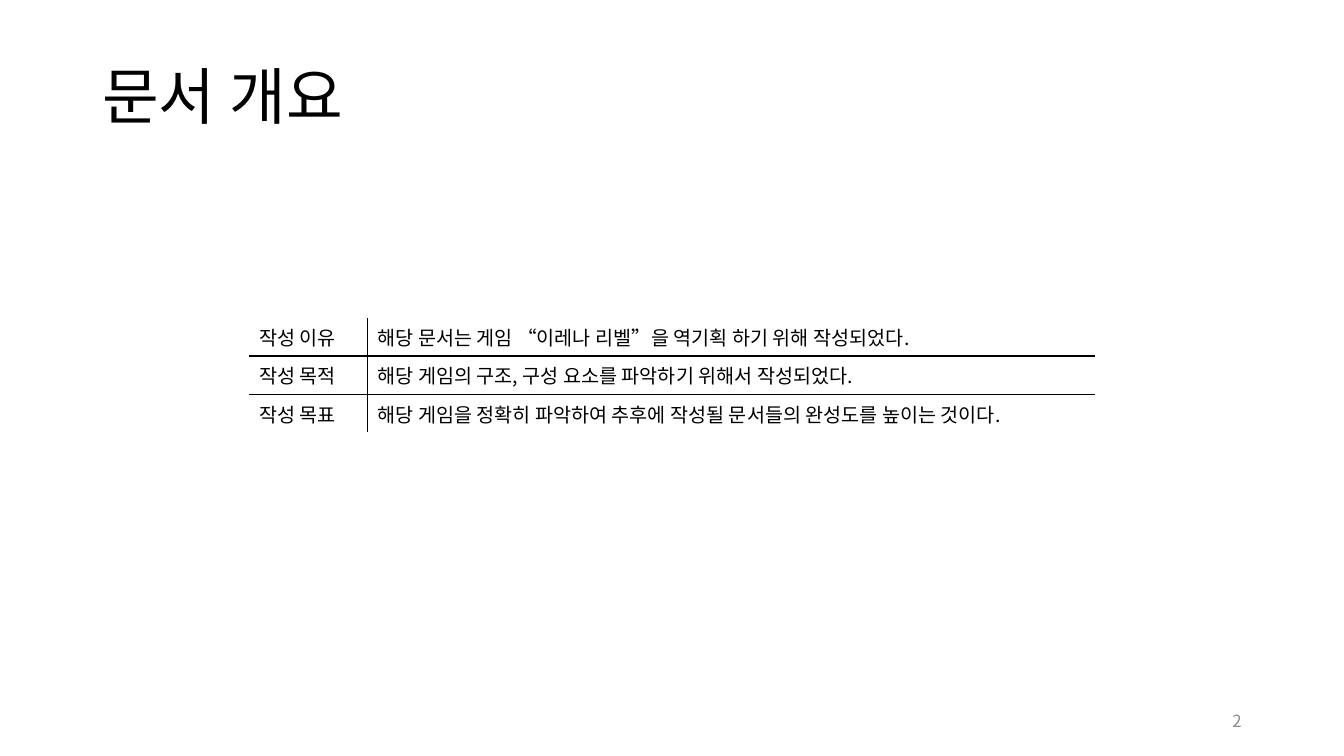
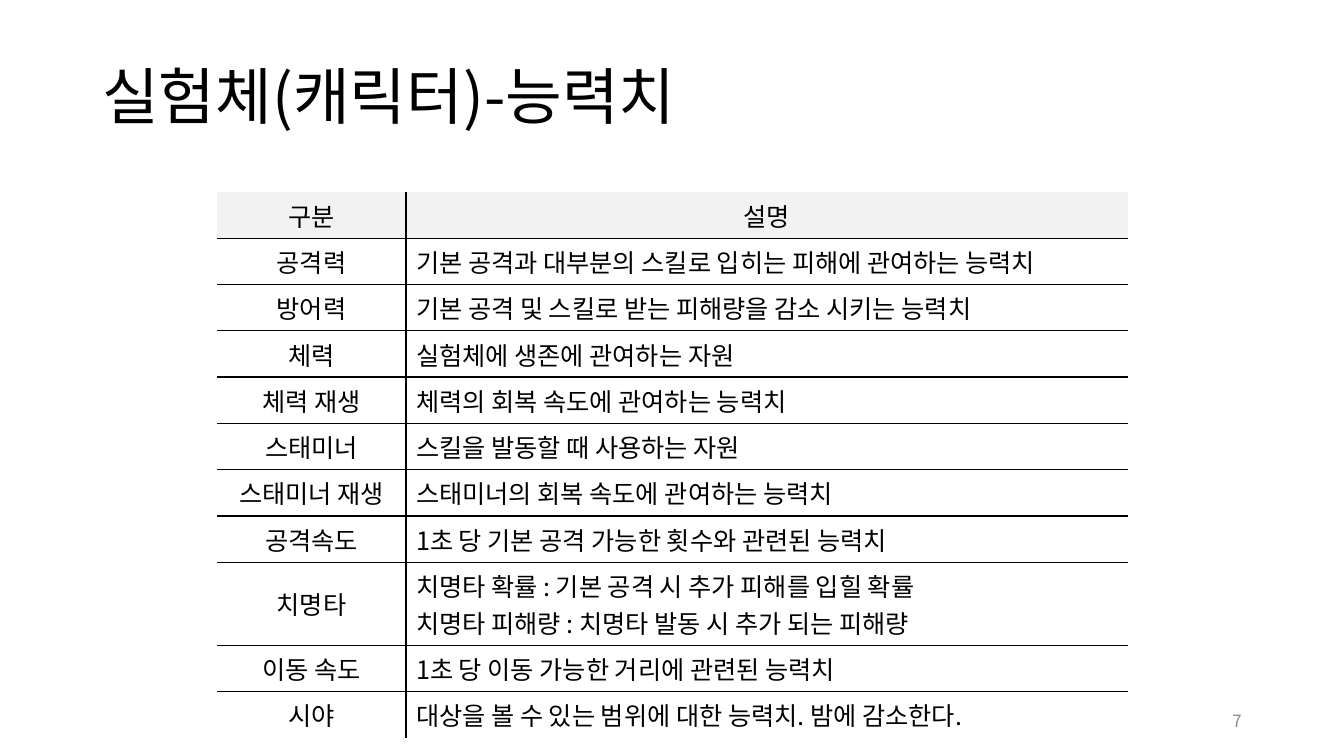
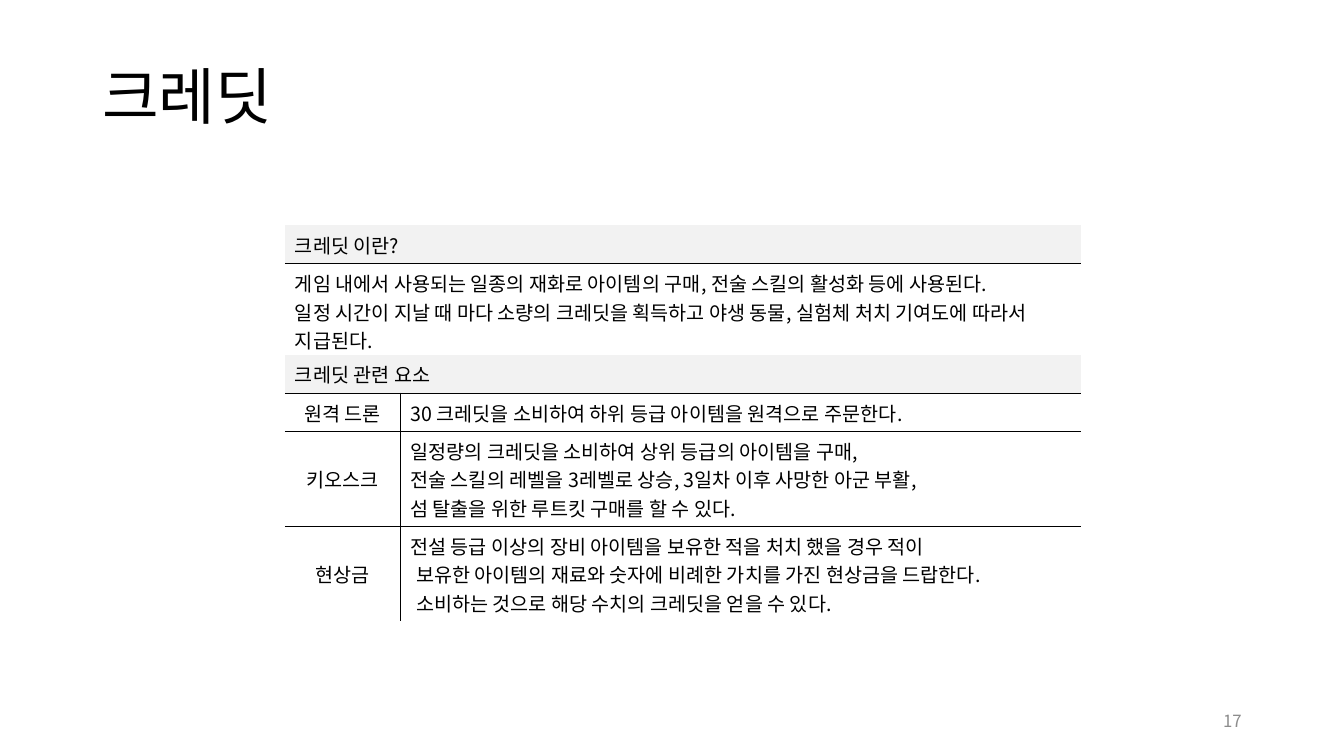
from lxml.etree import SubElement as Sub
from pptx import Presentation
from pptx.dml.color import RGBColor as RGB
from pptx.enum.text import MSO_ANCHOR as Anchor, PP_ALIGN as Align
from pptx.oxml.ns import qn
from pptx.util import Pt

FONT = "Noto Sans CJK KR"
INK, GREY, SHADE = "000000", "8C8C8C", "F2F2F2"
PLAIN = "{2D5ABB26-0587-4C30-8999-92F81FD0307C}"


def style(frame, size, ink, align=Align.LEFT):
    frame.word_wrap = True
    for para in frame.paragraphs:
        para.alignment = align
        for run in para.runs:
            run.font.size = Pt(size)
            run.font.color.rgb = RGB.from_string(ink)
            run.font.name = FONT
            Sub(run.font._element, qn("a:ea"), typeface=FONT)


def edge(cell, sides):
    props = cell._tc.get_or_add_tcPr()
    for side in "LRTB":
        line = Sub(props, qn("a:ln" + side), w=str(Pt(1)))
        if side in sides:
            fill = Sub(line, qn("a:solidFill"))
            Sub(fill, qn("a:srgbClr"), val=INK)
        else:
            Sub(line, qn("a:noFill"))


goals = [
    ("작성 이유", "해당 문서는 게임 “이레나 리벨”을 역기획 하기 위해 작성되었다."),
    ("작성 목적", "해당 게임의 구조, 구성 요소를 파악하기 위해서 작성되었다."),
    ("작성 목표", "해당 게임을 정확히 파악하여 추후에 작성될 문서들의 완성도를 높이는 것이다."),
]
stats = [
    ("구분", "설명"),
    ("공격력", "기본 공격과 대부분의 스킬로 입히는 피해에 관여하는 능력치"),
    ("방어력", "기본 공격 및 스킬로 받는 피해량을 감소 시키는 능력치"),
    ("체력", "실험체에 생존에 관여하는 자원"),
    ("체력 재생", "체력의 회복 속도에 관여하는 능력치"),
    ("스태미너", "스킬을 발동할 때 사용하는 자원"),
    ("스태미너 재생", "스태미너의 회복 속도에 관여하는 능력치"),
    ("공격속도", "1초 당 기본 공격 가능한 횟수와 관련된 능력치"),
    ("치명타", "치명타 확률 : 기본 공격 시 추가 피해를 입힐 확률\n"
     "치명타 피해량 : 치명타 발동 시 추가 되는 피해량"),
    ("이동 속도", "1초 당 이동 가능한 거리에 관련된 능력치"),
    ("시야", "대상을 볼 수 있는 범위에 대한 능력치. 밤에 감소한다."),
]
uses = [
    ("크레딧 관련 요소",),
    ("원격 드론", "30 크레딧을 소비하여 하위 등급 아이템을 원격으로 주문한다."),
    ("키오스크", "일정량의 크레딧을 소비하여 상위 등급의 아이템을 구매,\n"
     "전술 스킬의 레벨을 3레벨로 상승, 3일차 이후 사망한 아군 부활,\n"
     "섬 탈출을 위한 루트킷 구매를 할 수 있다."),
    ("현상금", "전설 등급 이상의 장비 아이템을 보유한 적을 처치 했을 경우 적이\n"
     "보유한 아이템의 재료와 숫자에 비례한 가치를 가진 현상금을 드랍한다.\n"
     "소비하는 것으로 해당 수치의 크레딧을 얻을 수 있다."),
]
about = [
    ("크레딧 이란?",),
    ("게임 내에서 사용되는 일종의 재화로 아이템의 구매, 전술 스킬의 활성화 등에 사용된다.\n"
     "일정 시간이 지날 때 마다 소량의 크레딧을 획득하고 야생 동물, 실험체 처치 기여도에 따라서 지급된다.",),
]
pages = [
    ("문서 개요", 2, [(178, 227, (84.5, 520), 14, False, goals)]),
    ("실험체(캐릭터)-능력치", 7, [(155, 137, (135, 515.5), 18, True, stats)]),
    ("크레딧", 17, [(203.5, 253.5, (82.5, 486.5), 14, True, uses),
                 (203.5, 161, (569,), 14, True, about)]),
]

deck = Presentation()
deck.slide_width, deck.slide_height = Pt(960), Pt(540)

for title, number, tables in pages:
    slide = deck.slides.add_slide(deck.slide_layouts[6])
    labels = [
        (title, (66, 28.8, 828, 84.2), 44, INK, Align.LEFT, 0.9),
        (str(number), (678, 500.5, 216, 28.8), 12, GREY, Align.RIGHT, 1.0),
    ]
    for text, place, size, ink, align, space in labels:
        frame = slide.shapes.add_textbox(*map(Pt, place)).text_frame
        frame.text = text
        frame.vertical_anchor = Anchor.MIDDLE
        frame.paragraphs[0].line_spacing = space
        style(frame, size, ink, align)

    for left, top, cols, size, head, rows in tables:
        tall = [round(size * 1.45 * (row[-1].count("\n") + 1) + 7, 1) for row in rows]
        place = map(Pt, (left, top, sum(cols), sum(tall)))
        table = slide.shapes.add_table(len(rows), len(cols), *place).table
        table.first_row = table.horz_banding = False
        table._tbl.tblPr.find(qn("a:tableStyleId")).text = PLAIN
        for col, width in zip(table.columns, cols):
            col.width = Pt(width)
        for r, row in enumerate(rows):
            table.rows[r].height = Pt(tall[r])
            if len(row) < len(cols):
                table.cell(r, 0).merge(table.cell(r, len(cols) - 1))
            for c in range(len(cols)):
                cell = table.cell(r, c)
                sides = "T" * (r > 0) + "B" * (r < len(rows) - 1)
                if len(row) > 1:
                    sides += "L" * (c > 0) + "R" * (c < len(row) - 1)
                edge(cell, sides)
                if head and r == 0:
                    cell.fill.solid()
                    cell.fill.fore_color.rgb = RGB.from_string(SHADE)
                else:
                    cell.fill.background()
                cell.vertical_anchor = Anchor.MIDDLE
                if c < len(row):
                    mid = head and len(row) > 1 and 0 in (r, c)
                    cell.text_frame.text = row[c]
                    style(cell.text_frame, size, INK, Align.CENTER if mid else Align.LEFT)
        if rows is uses:
            for para in table.cell(3, 1).text_frame.paragraphs[1:]:
                para._p.get_or_add_pPr().set("marL", str(Pt(4)))

deck.save("out.pptx")
